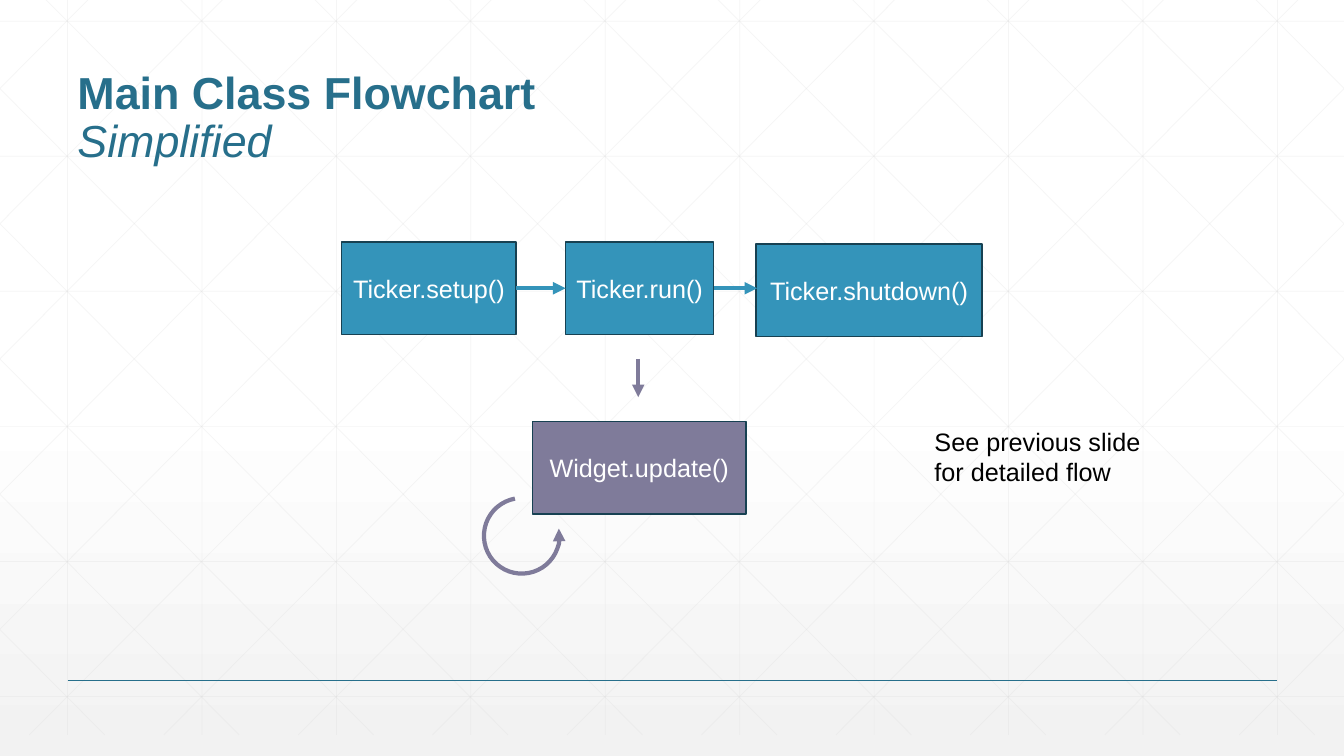
from copy import deepcopy

from lxml.etree import SubElement
from pptx import Presentation
from pptx.dml.color import RGBColor
from pptx.enum.shapes import MSO_CONNECTOR, MSO_SHAPE
from pptx.enum.text import MSO_ANCHOR, PP_ALIGN
from pptx.oxml.ns import qn
from pptx.util import Inches, Pt

WIDTH, HEIGHT = 13.33, 7.5
TOP, BOTTOM = -0.21, 7.29
GRID, WHITE, BLACK = "D9D9D9", "FFFFFF", "000000"
BLUE, DARK_BLUE, OUTLINE, PURPLE = "3494BA", "276F8B", "174152", "7F7B9A"


def rgb(color):
    """Turn a hex string into a colour."""
    return RGBColor.from_string(color)


def set_line(sp, color, width):
    """Set the colour and width of a shape's line."""
    sp.line.color.rgb = rgb(color)
    sp.line.width = Pt(width)


def add_arrowhead(sp, end):
    """Put a triangle on the headEnd or tailEnd of a line."""
    SubElement(sp.line._get_or_add_ln(), qn(f"a:{end}"), type="triangle")


def add_line(s, start, end, color, width, arrow=False, alpha=None):
    """Draw a straight line, with an arrowhead or transparency if wanted."""
    points = [Inches(v) for v in (*start, *end)]
    sp = s.shapes.add_connector(MSO_CONNECTOR.STRAIGHT, *points)
    set_line(sp, color, width)
    if alpha:
        clr = sp.element.spPr.find(".//" + qn("a:srgbClr"))
        SubElement(clr, qn("a:alpha"), val=str(alpha * 1000))
    if arrow:
        add_arrowhead(sp, "tailEnd")
    SubElement(sp.element.spPr, qn("a:effectLst"))


def add_run(p, text, size, color, bold=False, italic=False):
    """Add one formatted run to a paragraph."""
    r = p.add_run()
    r.text = text
    r.font.name = "Arial"
    r.font.size = Pt(size)
    r.font.bold = bold
    r.font.italic = italic
    r.font.color.rgb = rgb(color)


def add_step(s, text, left, top, width, fill):
    """Draw one flowchart step with its method name."""
    box = [Inches(v) for v in (left, top, width, 0.92)]
    sp = s.shapes.add_shape(MSO_SHAPE.RECTANGLE, *box)
    sp.shadow.inherit = False
    sp.fill.solid()
    sp.fill.fore_color.rgb = rgb(fill)
    set_line(sp, OUTLINE, 1)
    tf = sp.text_frame
    tf.word_wrap = False
    tf.vertical_anchor = MSO_ANCHOR.MIDDLE
    p = tf.paragraphs[0]
    p.alignment = PP_ALIGN.CENTER
    add_run(p, text, 18, WHITE)


def add_text(s, left, top, width, height, anchor=MSO_ANCHOR.TOP):
    """Add a wrapping text box and return its paragraph."""
    sp = s.shapes.add_textbox(*[Inches(v) for v in (left, top, width, height)])
    tf = sp.text_frame
    tf.word_wrap = True
    tf.vertical_anchor = anchor
    return tf.paragraphs[0]


def add_loop(s, left, top, size):
    """Draw the circular arrow for the repeated update."""
    box = [Inches(v) for v in (left, top, size, size)]
    sp = s.shapes.add_shape(MSO_SHAPE.ARC, *box)
    sp.shadow.inherit = False
    sp.fill.background()
    sp.adjustments[0] = 53.669
    sp.adjustments[1] = 0
    sp.rotation = 259.6
    set_line(sp, PURPLE, 3)
    add_arrowhead(sp, "headEnd")


def set_background(s):
    """Fade the background from white to light grey."""
    fill = s.background.fill
    fill.gradient()
    fill.gradient_angle = 270
    stops = s.element.find(".//" + qn("a:gsLst"))
    stops.insert(1, deepcopy(stops[0]))
    fades = ((0, WHITE), (0.53, WHITE), (1, "F2F2F2"))
    for stop, (position, color) in zip(fill.gradient_stops, fades):
        stop.position = position
        stop.color.rgb = rgb(color)


def add_grid(s):
    """Draw the faint grid and its diagonals, clipped at the slide's sides."""
    pitch = 4 / 3
    lines = []
    for i in range(10):
        x = 0.67 + i * pitch
        lines.append(((x, TOP), (x, BOTTOM)))
    for i in range(6):
        y = 0.21 + i * 1.34
        lines.append(((0, y), (WIDTH, y)))
    slope = (BOTTOM - TOP) / 7.455
    for i in range(-5, 10):
        x = 0.25 + i * pitch
        left, right = max(x, 0), min(x + 7.455, WIDTH)
        y1, y2 = (TOP + (edge - x) * slope for edge in (left, right))
        lines.append(((left, y1), (right, y2)))
        lines.append(((WIDTH - left, y1), (WIDTH - right, y2)))
    for start, end in lines:
        add_line(s, start, end, GRID, 0.5, alpha=25)


def main():
    """Build the flowchart slide."""
    prs = Presentation()
    prs.slide_width, prs.slide_height = Inches(WIDTH), Inches(HEIGHT)
    s = prs.slides.add_slide(prs.slide_layouts[6])
    set_background(s)
    add_grid(s)
    add_line(s, (0.67, 6.75), (12.67, 6.75), DARK_BLUE, 1)

    p = add_text(s, 0.67, 0.25, 4.94, 1.46, MSO_ANCHOR.BOTTOM)
    p.line_spacing = 0.9
    add_run(p, "Main Class Flowchart ", 32, DARK_BLUE, bold=True)
    add_run(p, "Simplified", 32, DARK_BLUE, italic=True)

    for text, left, top, width, fill in (
        ("Ticker.setup()", 3.39, 2.4, 1.73, BLUE),
        ("Ticker.run()", 5.61, 2.4, 1.47, BLUE),
        ("Ticker.shutdown()", 7.5, 2.42, 2.24, BLUE),
        ("Widget.update()", 5.28, 4.18, 2.12, PURPLE),
    ):
        add_step(s, text, left, top, width, fill)
    for start, end, color in (
        ((5.12, 2.86), (5.61, 2.86), BLUE),
        ((7.08, 2.86), (7.51, 2.86), BLUE),
        ((6.33, 3.56), (6.33, 3.94), PURPLE),
    ):
        add_line(s, start, end, color, 3, arrow=True)
    add_loop(s, 4.8, 4.94, 0.75)

    p = add_text(s, 9.17, 4.18, 2.56, 0.71)
    add_run(p, "See previous slide for detailed flow", 18, BLACK)
    prs.save("out.pptx")


main()
